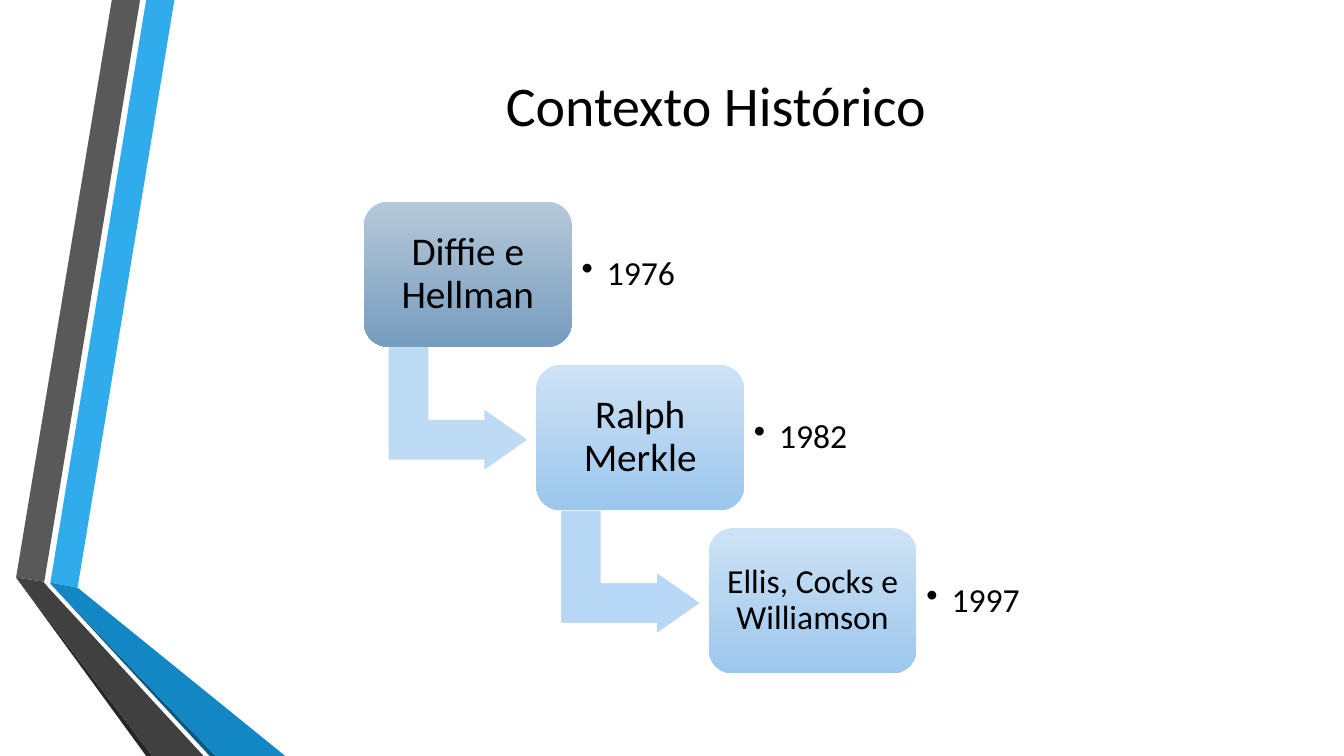
from dataclasses import dataclass

from lxml.etree import SubElement
from pptx import Presentation
from pptx.dml.color import RGBColor
from pptx.enum.shapes import MSO_SHAPE as Shape
from pptx.enum.text import MSO_ANCHOR as Anchor, PP_ALIGN as Align
from pptx.oxml.ns import qn
from pptx.util import Inches, Pt

WIDTH, HEIGHT = 13.33, 7.5


@dataclass(frozen=True)
class Theme:
    """Colours, font and type sizes of the slide."""
    font: str = "Calibri"
    ink: str = "000000"
    paper: str = "FFFFFF"
    title: int = 40
    name: int = 28
    small: int = 24
    first_step: tuple = ("B6C8D9", "769DBF")
    next_step: tuple = ("CEE2F5", "9CC7ED")
    arrows: tuple = ("BEDBF6", "B6D7F5")


THEME = Theme()

# Staircase grid: origin, stride and block size
LEFT, TOP = 3.61, 2.0
STRIDE_X, STRIDE_Y = 1.71, 1.62
BLOCK_W, BLOCK_H = 2.06, 1.44

STEPS = [
    ("Diffie e Hellman", "1976", THEME.name, 0.12, THEME.first_step),
    ("Ralph Merkle", "1982", THEME.name, 0.12, THEME.next_step),
    ("Ellis, Cocks e Williamson", "1997", THEME.small, 0.1, THEME.next_step),
]

# Folded ribbons at the left edge: colour and corners
RIBBONS = [
    ("30ACEC", [(0.5, 5.78), (0.77, 5.83), (1.73, 0), (1.45, 0)]),
    ("595959", [(1.39, 0), (1.11, 0), (0.16, 5.73), (0.44, 5.77)]),
    ("262626", [(0.16, 5.73), (1.45, HEIGHT), (1.51, HEIGHT)]),
    ("0C5A82", [(0.5, 5.79), (2.08, HEIGHT), (2.14, HEIGHT)]),
    ("1287C3", [(0.5, 5.79), (2.14, HEIGHT), (2.83, HEIGHT), (0.77, 5.83), (0.5, 5.78)]),
    ("404040", [(2.02, HEIGHT), (0.48, 5.83), (0.43, 5.77), (0.16, 5.73), (1.51, HEIGHT)]),
]


def rgb(code):
    """Turn a hex code into a colour."""
    return RGBColor.from_string(code)


def paint(shape, color):
    """Give a shape a flat fill, no outline and no shadow."""
    shape.shadow.inherit = False
    shape.fill.solid()
    shape.fill.fore_color.rgb = rgb(color)
    shape.line.fill.background()


def write(shape, words, size, align, inset=0.1):
    """Write one vertically centred paragraph and return it."""
    frame = shape.text_frame
    frame.word_wrap = True
    frame.vertical_anchor = Anchor.MIDDLE
    frame.margin_left = frame.margin_right = Inches(inset)
    frame.margin_top = frame.margin_bottom = Inches(inset)
    paragraph = frame.paragraphs[0]
    paragraph.alignment = align
    paragraph.line_spacing = 0.9
    run = paragraph.add_run()
    run.text = words
    run.font.name, run.font.size = THEME.font, Pt(size)
    run.font.color.rgb = rgb(THEME.ink)
    return paragraph


def add_text(slide, box, words, size, align):
    """Add a text box with one paragraph."""
    return write(slide.shapes.add_textbox(*map(Inches, box)), words, size, align)


def add_ribbon(slide, color, corners):
    """Draw one facet of the folded ribbons."""
    start, *rest = [(Inches(x), Inches(y)) for x, y in corners]
    outline = slide.shapes.build_freeform(*start)
    outline.add_line_segments(rest, close=True)
    paint(outline.convert_to_shape(), color)


def add_block(slide, x, y, name, size, inset, shades):
    """Draw a rounded block with a vertical gradient and a name."""
    block = slide.shapes.add_shape(
        Shape.ROUNDED_RECTANGLE, *map(Inches, (x, y, BLOCK_W, BLOCK_H)))
    block.adjustments[0] = 0.167
    paint(block, shades[0])
    block.fill.gradient()
    block.fill.gradient_angle = 270
    for stop, shade in zip(block.fill.gradient_stops, shades):
        stop.color.rgb = rgb(shade)
    write(block, name, size, Align.CENTER, inset)


def add_year(slide, x, y, year):
    """Put a bulleted year to the right of a block."""
    paragraph = add_text(slide, (x + BLOCK_W, y + 0.14, 1.5, 1.17),
                         year, THEME.small, Align.LEFT)
    props = paragraph._p.get_or_add_pPr()
    props.set("marL", str(Inches(0.25)))
    props.set("indent", str(Inches(-0.25)))
    SubElement(props, qn("a:buChar")).set("char", "•")


def add_bent_arrow(slide, x, y, color):
    """Draw the arrow that leads from a block to the next one."""
    arrow = slide.shapes.add_shape(
        Shape.BENT_UP_ARROW, *map(Inches, (x + 0.32, y + 1.36, 1.23, 1.39)))
    arrow.rotation = 90
    for index, share in enumerate((0.328, 0.25, 0.358)):
        arrow.adjustments[index] = share
    paint(arrow, color)
    arrow.line.color.rgb = rgb(THEME.paper)
    arrow.line.width = Pt(0.75)


def main():
    """Build the slide and save it."""
    deck = Presentation()
    deck.slide_width, deck.slide_height = Inches(WIDTH), Inches(HEIGHT)
    slide = deck.slides.add_slide(deck.slide_layouts[6])

    for color, corners in RIBBONS:
        add_ribbon(slide, color, corners)
    heading = add_text(slide, (1.62, 0.42, 10.96, 1.22),
                       "Contexto Histórico", THEME.title, Align.CENTER)
    heading.line_spacing = 1.0

    for index, (name, year, size, inset, shades) in enumerate(STEPS):
        x, y = LEFT + index * STRIDE_X, TOP + index * STRIDE_Y
        if index < len(THEME.arrows):
            add_bent_arrow(slide, x, y, THEME.arrows[index])
        add_block(slide, x, y, name, size, inset, shades)
        add_year(slide, x, y, year)

    deck.save("out.pptx")


main()
